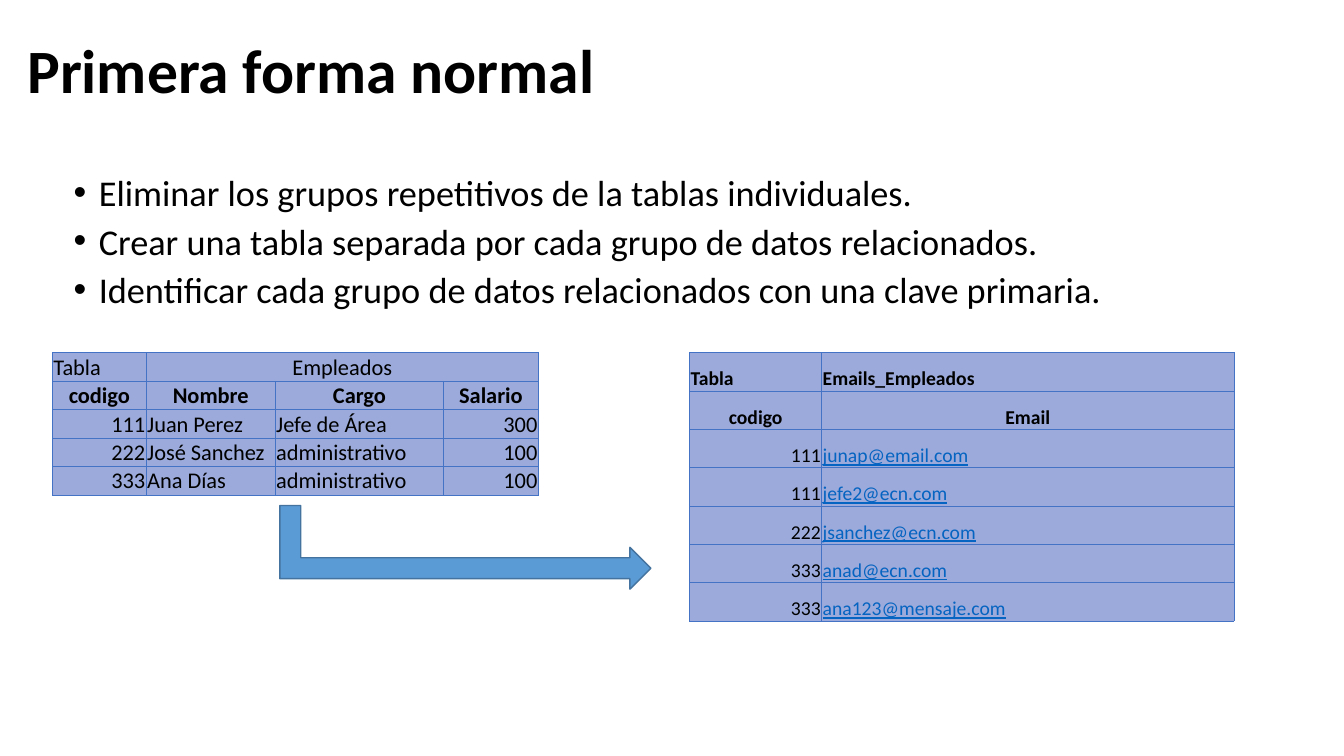
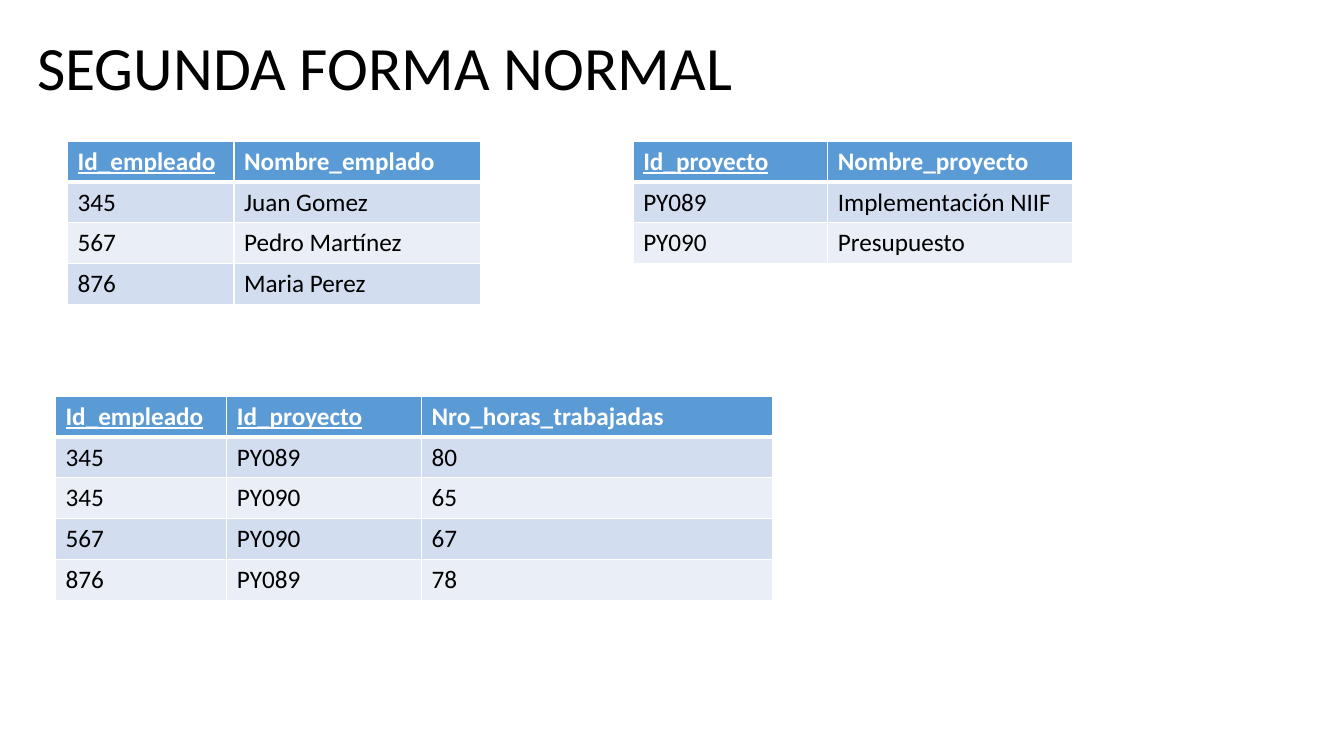
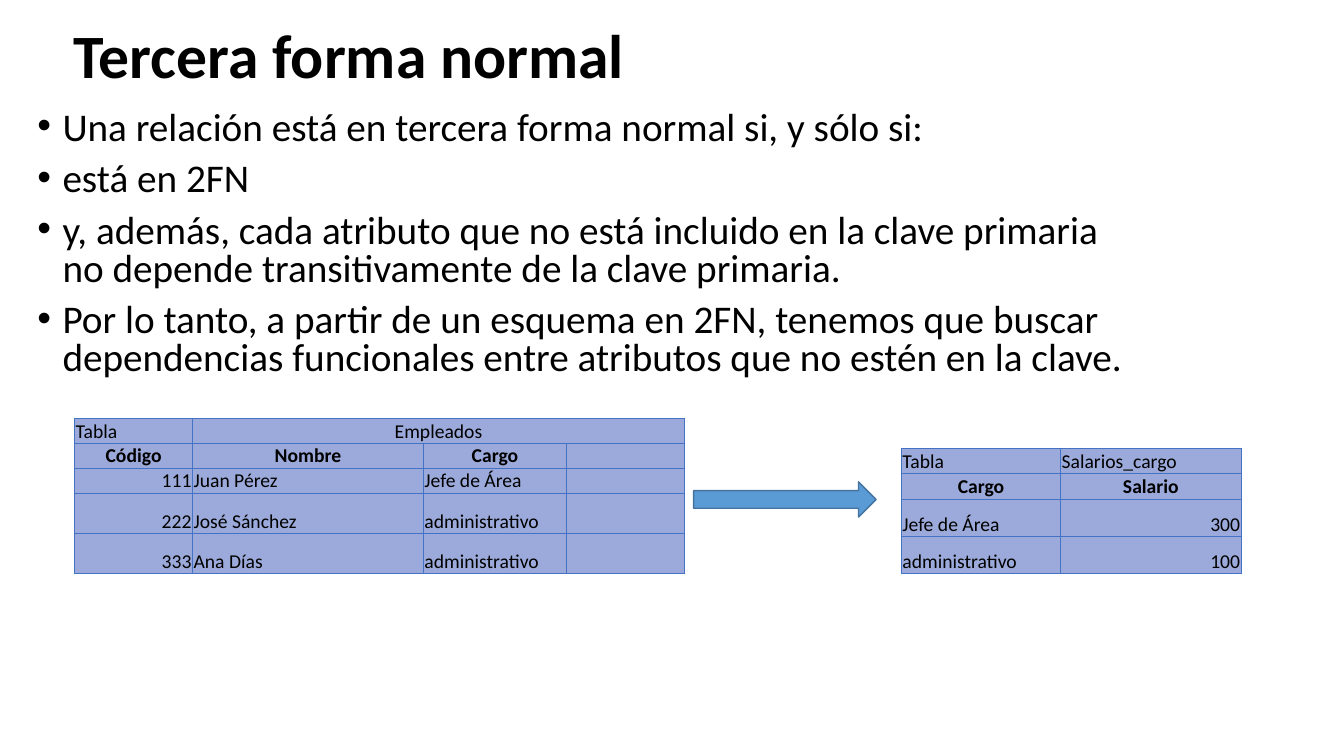
from dataclasses import dataclass

from lxml import etree
from pptx import Presentation
from pptx.dml.color import RGBColor
from pptx.enum.shapes import MSO_SHAPE
from pptx.enum.text import MSO_ANCHOR, MSO_AUTO_SIZE, PP_ALIGN
from pptx.oxml.ns import qn
from pptx.util import Inches, Pt

LEFT, CENTER, RIGHT = PP_ALIGN.LEFT, PP_ALIGN.CENTER, PP_ALIGN.RIGHT
TOP, MIDDLE, BOTTOM = MSO_ANCHOR.TOP, MSO_ANCHOR.MIDDLE, MSO_ANCHOR.BOTTOM
NO_AUTOFIT = MSO_AUTO_SIZE.NONE
RIGHT_ARROW, BENT_ARROW = MSO_SHAPE.RIGHT_ARROW, MSO_SHAPE.BENT_UP_ARROW
TITLE_AND_CONTENT, TITLE_ONLY = 1, 5


@dataclass(frozen=True)
class Theme:
    """Colours, font and type sizes shared by the slides."""
    font: str = "Calibri"
    text: str = "000000"
    white: str = "FFFFFF"
    link: str = "0563C1"
    accent: str = "5B9BD5"
    accent_line: str = "43739E"
    grid_fill: str = "9BAADA"
    grid_line: str = "4472C4"
    bands: tuple = ("D2DEEF", "EAEFF7")
    title_size: float = 44
    list_size: float = 28
    small_list_size: float = 25.9
    banded_size: float = 18
    grid_size: float = 16
    small_grid_size: float = 14


class Deck:
    """Holds the style and the current slide."""

    def __init__(self, theme):
        """Start a widescreen presentation."""
        self.theme = theme
        self.prs = Presentation()
        self.prs.slide_width, self.prs.slide_height = Inches(13.33), Inches(7.5)
        self.s = None

    def style(self, p, size, color=None, bold=False, underline=False, align=LEFT):
        """Set the font and alignment of a paragraph."""
        f = p.font
        f.name, f.size, f.bold, f.underline = self.theme.font, Pt(size), bold, underline
        f.color.rgb = RGBColor.from_string(color or self.theme.text)
        p.alignment = align

    def place(self, sp, box, anchor):
        """Move a placeholder and return its text frame."""
        sp.left, sp.top, sp.width, sp.height = map(Inches, box)
        tf = sp.text_frame
        tf.word_wrap, tf.auto_size, tf.vertical_anchor = True, NO_AUTOFIT, anchor
        return tf

    def slide(self, layout, title, box, bold=True):
        """Add a slide with its title."""
        self.s = self.prs.slides.add_slide(self.prs.slide_layouts[layout])
        tf = self.place(self.s.shapes.title, box, MIDDLE)
        tf.text = title
        p = tf.paragraphs[0]
        self.style(p, self.theme.title_size, bold=bold)
        p.line_spacing = 0.9

    def bullets(self, lines, box, size):
        """Fill the body placeholder with a bulleted list."""
        tf = self.place(self.s.placeholders[1], box, TOP)
        tf.text = "\n".join(lines)
        for p in tf.paragraphs:
            self.style(p, size)
            p.line_spacing, p.space_before = 0.8, Pt(10)
            pPr = p._p.get_or_add_pPr()
            pPr.set("marL", str(Inches(0.25)))
            pPr.set("indent", str(-Inches(0.25)))

    def border(self, cell, color, widths):
        """Draw the four cell borders, widths in order left, right, top, bottom."""
        tcPr = cell._tc.get_or_add_tcPr()
        for side, width in zip("LRTB", widths):
            ln = etree.SubElement(tcPr, qn(f"a:ln{side}"), w=str(Pt(width)))
            fill = etree.SubElement(ln, qn("a:solidFill"))
            etree.SubElement(fill, qn("a:srgbClr"), val=color)

    def table(self, rows, at, cols, heights):
        """Add an unstyled table and yield each cell with its row, column and text."""
        frame = self.s.shapes.add_table(len(rows), len(cols), *map(
            Inches, (*at, sum(cols), sum(heights))))
        tbl = frame.table
        tbl.first_row = tbl.horz_banding = False
        for col, width in zip(tbl.columns, cols):
            col.width = Inches(width)
        for row, height in zip(tbl.rows, heights):
            row.height = Inches(height)
        if len(rows[0]) < len(cols):
            tbl.cell(0, len(rows[0]) - 1).merge(tbl.cell(0, len(cols) - 1))
        for i, row in enumerate(rows):
            for j, text in enumerate(row):
                cell = tbl.cell(i, j)
                cell.text = text
                yield cell, i, j, text

    def fill(self, shape, color):
        """Give a cell or shape a solid fill."""
        shape.fill.solid()
        shape.fill.fore_color.rgb = RGBColor.from_string(color)

    def grid_table(self, rows, at, cols, heights, size, bold_name=False):
        """Add a ruled table with a name row and a centred heading row."""
        t = self.theme
        for cell, i, _, text in self.table(rows, at, cols, heights):
            self.border(cell, t.grid_line, [0.5] * 4)
            self.fill(cell, t.grid_fill)
            cell.vertical_anchor = BOTTOM
            cell.margin_left = cell.margin_right = cell.margin_top = Inches(0.01)
            cell.margin_bottom = 0
            centred = i == 1 or cell.is_merge_origin
            align = CENTER if centred else RIGHT if text.isdigit() else LEFT
            link = "@" in text
            self.style(cell.text_frame.paragraphs[0], size, t.link if link else t.text,
                       i == 1 or (i == 0 and bold_name), link, align)

    def banded_table(self, rows, at, cols, keys):
        """Add a banded table whose first headings, the keys, are underlined."""
        t = self.theme
        for cell, i, j, _ in self.table(rows, at, cols, [0.4] * len(rows)):
            head = i == 0
            self.border(cell, t.white, (1, 1, 3 if i == 1 else 1, 3 if head else 1))
            self.fill(cell, t.accent if head else t.bands[(i - 1) % 2])
            self.style(cell.text_frame.paragraphs[0], t.banded_size,
                       t.white if head else t.text, head, head and j < keys)

    def arrow(self, kind, box, rotation=0):
        """Add a block arrow."""
        sp = self.s.shapes.add_shape(kind, *map(Inches, box))
        sp.rotation = rotation
        sp.shadow.inherit = False
        self.fill(sp, self.theme.accent)
        sp.line.color.rgb = RGBColor.from_string(self.theme.accent_line)
        sp.line.width = Pt(1)


def first_form(d):
    """Build the slide on the first normal form."""
    d.slide(TITLE_AND_CONTENT, "Primera forma normal", (0.17, 0.12, 11, 1.21))
    d.bullets([
        "Eliminar los grupos repetitivos de la tablas individuales.",
        "Crear una tabla separada por cada grupo de datos relacionados.",
        "Identificar cada grupo de datos relacionados con una clave primaria.",
    ], (0.63, 1.72, 11, 1.44), d.theme.small_list_size)
    d.grid_table([
        ("Tabla", "Empleados"),
        ("codigo", "Nombre", "Cargo", "Salario"),
        ("111", "Juan Perez", "Jefe de Área", "300"),
        ("222", "José Sanchez", "administrativo", "100"),
        ("333", "Ana Días", "administrativo", "100"),
    ], (0.52, 3.5), (0.93, 1.28, 1.67, 0.94), [0.28] * 5, d.theme.grid_size)
    d.grid_table([
        ("Tabla", "Emails_Empleados"),
        ("codigo", "Email"),
        ("111", "junap@email.com"),
        ("111", "jefe2@ecn.com"),
        ("222", "jsanchez@ecn.com"),
        ("333", "anad@ecn.com"),
        ("333", "ana123@mensaje.com"),
    ], (6.84, 3.5), (1.31, 4.09), [0.38] * 7, d.theme.small_grid_size, bold_name=True)
    d.arrow(BENT_ARROW, (4.2, 3.59, 0.83, 3.68), 90)


def second_form(d):
    """Build the slide on the second normal form."""
    d.slide(TITLE_ONLY, "SEGUNDA FORMA NORMAL", (0.27, 0.25, 11.5, 0.91), bold=False)
    d.banded_table([
        ("Id_empleado", "Nombre_emplado"),
        ("345", "Juan Gomez"),
        ("567", "Pedro Martínez"),
        ("876", "Maria Perez"),
    ], (0.67, 1.4), (1.65, 2.45), 1)
    d.banded_table([
        ("Id_empleado", "Id_proyecto", "Nro_horas_trabajadas"),
        ("345", "PY089", "80"),
        ("345", "PY090", "65"),
        ("567", "PY090", "67"),
        ("876", "PY089", "78"),
    ], (0.55, 3.93), (1.7, 1.93, 3.48), 2)
    d.banded_table([
        ("Id_proyecto", "Nombre_proyecto"),
        ("PY089", "Implementación NIIF"),
        ("PY090", "Presupuesto"),
    ], (6.28, 1.4), (1.93, 2.43), 1)


def third_form(d):
    """Build the slide on the third normal form."""
    d.slide(TITLE_AND_CONTENT, "Tercera forma normal", (0.63, 0.12, 11, 0.93))
    d.bullets([
        "Una relación está en tercera forma normal si, y sólo si:",
        "está en 2FN",
        "y, además, cada atributo que no está incluido en la clave primaria "
        "no depende transitivamente de la clave primaria.",
        "Por lo tanto, a partir de un esquema en 2FN, tenemos que buscar "
        "dependencias funcionales entre atributos que no estén en la clave.",
    ], (0.27, 1.05, 11, 2.79), d.theme.list_size)
    d.grid_table([
        ("Tabla", "Empleados"),
        ("Código", "Nombre", "Cargo", ""),
        ("111", "Juan Pérez", "Jefe de Área", ""),
        ("222", "José Sánchez", "administrativo", ""),
        ("333", "Ana Días", "administrativo", ""),
    ], (0.74, 4.15), (1.17, 2.29, 1.42, 1.17), [0.24] * 3 + [0.4] * 2,
        d.theme.small_grid_size)
    d.grid_table([
        ("Tabla", "Salarios_cargo"),
        ("Cargo", "Salario"),
        ("Jefe de Área", "300"),
        ("administrativo", "100"),
    ], (8.94, 4.45), (1.58, 1.79), [0.25] * 2 + [0.37] * 2, d.theme.small_grid_size)
    d.arrow(RIGHT_ARROW, (6.88, 4.78, 1.81, 0.35))


def main():
    """Build and save the deck."""
    d = Deck(Theme())
    for build in (first_form, second_form, third_form):
        build(d)
    d.prs.save("out.pptx")


if __name__ == "__main__":
    main()
